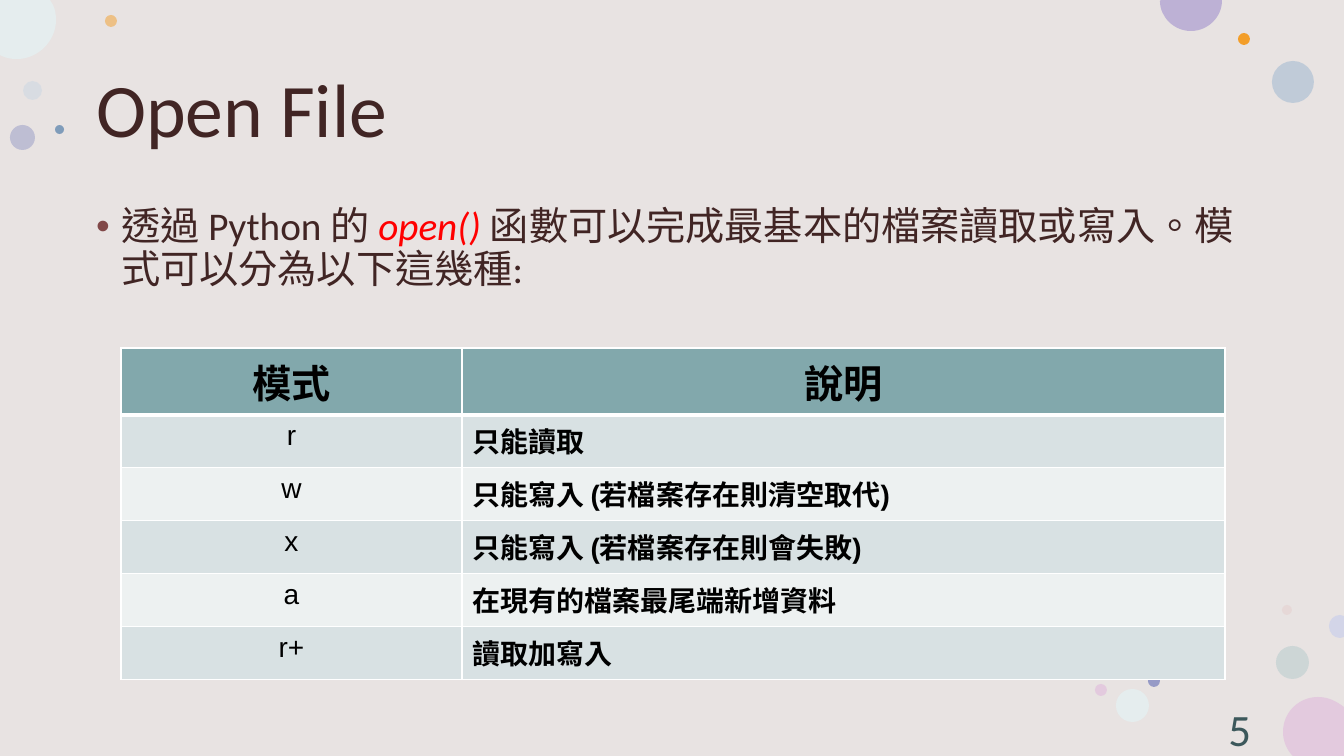
import pptx
import pptx.dml.color
import pptx.enum.lang
import pptx.enum.shapes
import pptx.enum.text
import pptx.oxml
import pptx.oxml.ns
import pptx.util

RGB = pptx.dml.color.RGBColor
ALIGN = pptx.enum.text.PP_ALIGN
ANCHOR = pptx.enum.text.MSO_ANCHOR
FORM = pptx.enum.shapes.MSO_SHAPE
Pt = pptx.util.Pt
SPACE = pptx.oxml.ns.nsdecls("a")
SCALE = 914400 / 100.8
WIDE, HIGH = 1344, 756

PAPER = RGB(0xE8, 0xE3, 0xE2)
BROWN = RGB(0x41, 0x25, 0x24)
RUST = RGB(0x81, 0x48, 0x48)
RED = RGB(0xFF, 0x00, 0x00)
SLATE = RGB(0x3C, 0x58, 0x5B)
BLACK = RGB(0x00, 0x00, 0x00)
WHITE = RGB(0xFF, 0xFF, 0xFF)
TEAL = RGB(0x82, 0xA8, 0xAC)
BANDS = [RGB(0xD8, 0xE1, 0xE3), RGB(0xED, 0xF1, 0xF1)]
ORANGE = RGB(0xF3, 0x9E, 0x29)
VIOLET = RGB(0x96, 0x9A, 0xC6)
PINK = RGB(0xE3, 0xCA, 0xDE)
ICE = RGB(0xE5, 0xED, 0xEE)
MIST = RGB(0xCA, 0xD7, 0xE3)
SEA = RGB(0xB3, 0xCA, 0xCC)
SKY = RGB(0xB1, 0xC3, 0xD5)
ROSE = RGB(0xE3, 0xBE, 0xBE)
LILAC = RGB(0xBD, 0xB1, 0xD5)
BLUE = RGB(0x7F, 0x9C, 0xBA)
PALE = RGB(0xD3, 0xD5, 0xE8)

# left, top, width, colour, opacity in percent
DOTS = [
    (23, 81, 19, MIST, 50), (105, 15, 12, ORANGE, 50),
    (1276, 646, 33, SEA, 50), (10, 125, 25, VIOLET, 50),
    (1272, 61, 42, SKY, 72), (1238, 33, 12, ORANGE, 100),
    (1282, 605, 10, ROSE, 28), (1148, 675, 12, VIOLET, 100),
    (1116, 689, 33, ICE, 100), (1095, 684, 12, PINK, 100),
    (55, 125, 9, BLUE, 100),
]

# colour, start, then steps: two numbers make a line, six make a curve
CUTS = [
    (PINK, (1318, 697), [(1328, 697, 1336, 701, 1344, 707), (1344, 756),
                         (1293, 756), (1291, 754),
                         (1286, 748, 1283, 740, 1283, 732),
                         (1283, 712, 1299, 697, 1318, 697)]),
    (ICE, (0, 0), [(50, 0), (53, 5), (55, 9, 56, 14, 56, 20),
                   (56, 41, 38, 59, 17, 59), (11, 59, 6, 58, 2, 56), (0, 55)]),
    (LILAC, (1161, 0), [(1222, 0), (1222, 1), (1222, 17, 1208, 31, 1191, 31),
                        (1174, 31, 1160, 17, 1160, 1)]),
    (PALE, (1340, 615), [(1344, 616), (1344, 637), (1340, 638),
                         (1334, 638, 1329, 633, 1329, 626),
                         (1329, 620, 1334, 615, 1340, 615)]),
]

MODES = [
    ("模式", "說明"),
    ("r", "只能讀取"),
    ("w", "只能寫入 (若檔案存在則清空取代)"),
    ("x", "只能寫入 (若檔案存在則會失敗)"),
    ("a", "在現有的檔案最尾端新增資料"),
    ("r+", "讀取加寫入"),
]


def px(size):
    return pptx.util.Emu(round(size * SCALE))


def add_run(para, text, size, font, color, bold=False, slant=False):
    run = para.add_run()
    run.text = text
    run.font.size = Pt(size)
    run.font.name = font
    run.font.color.rgb = color
    run.font.bold = bold
    run.font.italic = slant
    run.font.language_id = pptx.enum.lang.MSO_LANGUAGE_ID.TRADITIONAL_CHINESE


def paint(shape, color, alpha=100):
    shape.shadow.inherit = False
    shape.line.fill.background()
    shape.fill.solid()
    shape.fill.fore_color.rgb = color
    if alpha < 100:
        tint = shape.element.spPr.find(".//" + pptx.oxml.ns.qn("a:srgbClr"))
        tint.append(pptx.oxml.parse_xml(f'<a:alpha {SPACE} val="{alpha * 1000}"/>'))


def add_form(slide, kind, left, top, width, height, color, alpha=100):
    shape = slide.shapes.add_shape(kind, px(left), px(top), px(width), px(height))
    paint(shape, color, alpha)


def add_cut(slide, color, start, steps):
    """Draw a circle cut off by the edge of the slide."""
    points = [(px(x), px(y)) for step in steps
              for x, y in zip(step[::2], step[1::2])]
    pen = slide.shapes.build_freeform(px(start[0]), px(start[1]))
    pen.add_line_segments(points, close=True)
    shape = pen.convert_to_shape()
    lines = iter(list(shape.element.iter(pptx.oxml.ns.qn("a:lnTo"))))
    for step in steps:
        first = next(lines)
        if len(step) == 6:
            curve = pptx.oxml.parse_xml(f"<a:cubicBezTo {SPACE}/>")
            first.addprevious(curve)
            for line in (first, next(lines), next(lines)):
                curve.append(line[0])
                line.getparent().remove(line)
    paint(shape, color)


def set_up(slide, holder, top, height):
    """Place a placeholder in front of the dots and return its paragraph."""
    slide.shapes.element.append(holder.element)
    holder.left, holder.top = px(86), px(top)
    holder.width, holder.height = px(1175), px(height)
    holder.text_frame.auto_size = pptx.enum.text.MSO_AUTO_SIZE.NONE
    return holder.text_frame.paragraphs[0]


def fill_title(slide):
    title = slide.shapes.title
    para = set_up(slide, title, 40, 146)
    title.text_frame.vertical_anchor = ANCHOR.MIDDLE
    para.alignment = ALIGN.LEFT
    para.line_spacing = 0.9
    add_run(para, "Open File", 54, "Calibri", BROWN)


def fill_body(slide):
    para = set_up(slide, slide.placeholders[1], 202, 480)
    props = para._p.get_or_add_pPr()
    props.set("marL", "228600")
    props.set("indent", "-228600")
    for xml in (f'<a:buClr {SPACE}><a:srgbClr val="{RUST}"/></a:buClr>',
                f'<a:buFont {SPACE} typeface="Arial"/>',
                f'<a:buChar {SPACE} char="•"/>'):
        props.append(pptx.oxml.parse_xml(xml))
    para.line_spacing = 0.9
    para.space_before = Pt(0)
    add_run(para, "透過 Python 的 ", 28, "Calibri", BROWN)
    add_run(para, "open() ", 28, "Calibri", RED, slant=True)
    add_run(para, "函數可以完成最基本的檔案讀取或寫入。模式可以分為以下這幾種:",
            28, "Calibri", BROWN)


def add_edges(cell, row):
    props = cell._tc.get_or_add_tcPr()
    for side in "LRTB":
        width = Pt(3 if (row, side) in ((0, "B"), (1, "T")) else 1)
        props.append(pptx.oxml.parse_xml(
            f'<a:ln{side} {SPACE} w="{width}"><a:solidFill>'
            f'<a:srgbClr val="{WHITE}"/></a:solidFill></a:ln{side}>'))


def add_modes(slide):
    frame = slide.shapes.add_table(len(MODES), 2, px(121), px(348),
                                   px(1104), px(53 * len(MODES)))
    table = frame.table
    for col, width in zip(table.columns, (341, 763)):
        col.width = px(width)
    for row, texts in enumerate(MODES):
        table.rows[row].height = px(53)
        head = row == 0
        for col, text in enumerate(texts):
            cell = table.cell(row, col)
            add_edges(cell, row)
            cell.fill.solid()
            cell.fill.fore_color.rgb = TEAL if head else BANDS[(row - 1) % 2]
            para = cell.text_frame.paragraphs[0]
            para.alignment = ALIGN.CENTER if head or col == 0 else ALIGN.LEFT
            add_run(para, text, 28 if head else 20, "Arial", BLACK,
                    bold=head or col == 1)


def add_number(slide):
    box = slide.shapes.add_textbox(px(959), px(716), px(302), px(26))
    frame = box.text_frame
    frame.word_wrap = True
    frame.vertical_anchor = ANCHOR.MIDDLE
    para = frame.paragraphs[0]
    para.alignment = ALIGN.RIGHT
    add_run(para, "5", 32, "Calibri", SLATE)


def main():
    deck = pptx.Presentation()
    deck.slide_width, deck.slide_height = px(WIDE), px(HIGH)
    slide = deck.slides.add_slide(deck.slide_layouts[1])
    add_form(slide, FORM.RECTANGLE, 0, 0, WIDE, HIGH, PAPER)
    for left, top, width, color, alpha in DOTS:
        add_form(slide, FORM.OVAL, left, top, width, width, color, alpha)
    for cut in CUTS:
        add_cut(slide, *cut)
    fill_title(slide)
    fill_body(slide)
    add_modes(slide)
    add_number(slide)
    deck.save("out.pptx")


if __name__ == "__main__":
    main()
